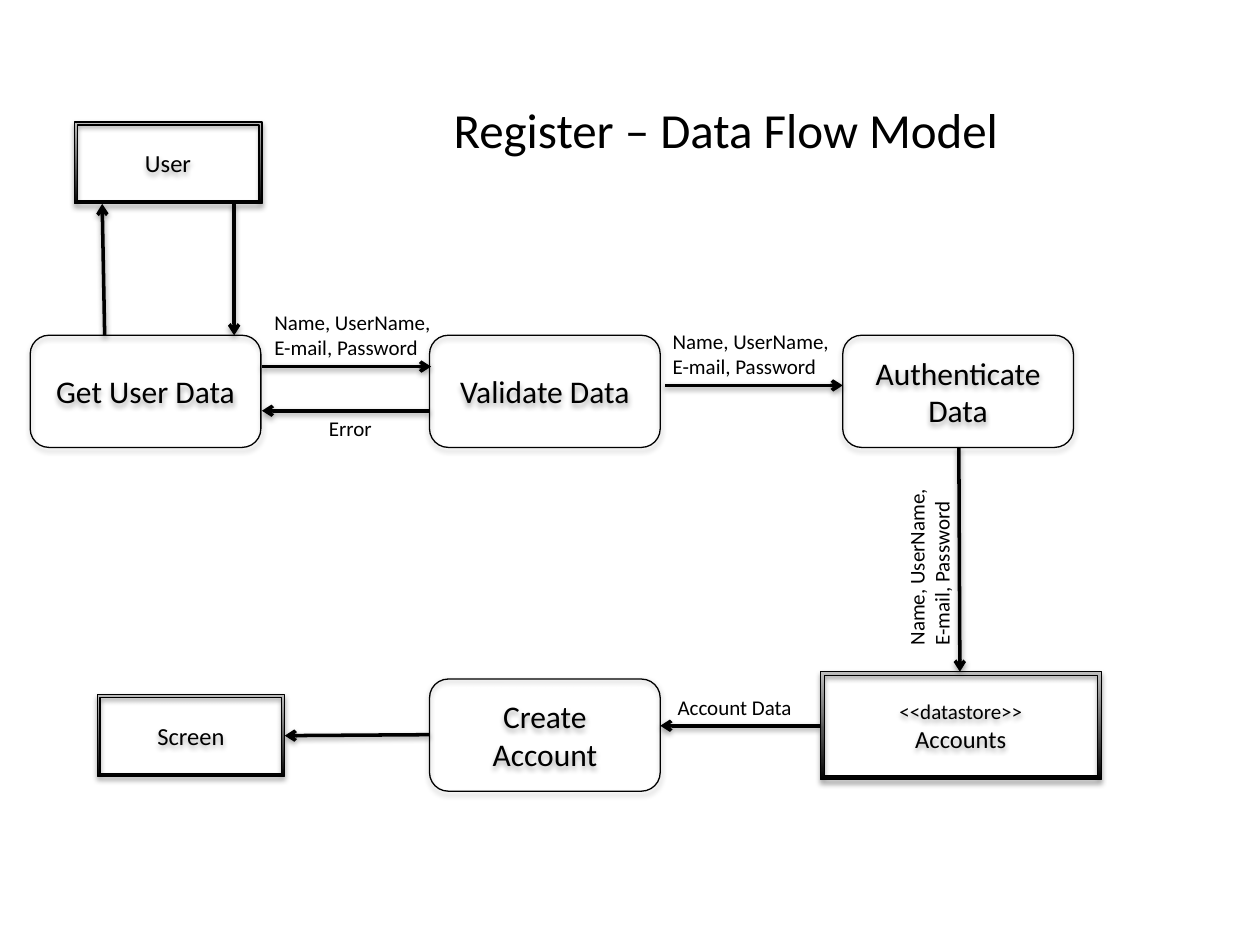
from lxml.etree import SubElement
from pptx import Presentation
from pptx.dml.color import RGBColor
from pptx.enum.shapes import MSO_CONNECTOR, MSO_SHAPE
from pptx.enum.text import MSO_ANCHOR, PP_ALIGN
from pptx.oxml.ns import qn
from pptx.util import Cm, Pt

COLORS = {"ink": "000000", "frame_top": "BDBDBD"}
INK = RGBColor.from_string(COLORS["ink"])


def write_text(frame, text, sizes=(12,), align=PP_ALIGN.LEFT,
               anchor=MSO_ANCHOR.TOP, wrap=True):
    """Fill a text frame, one paragraph per line; the last size repeats."""
    frame.text = text
    frame.word_wrap = wrap
    frame.vertical_anchor = anchor
    for index, paragraph in enumerate(frame.paragraphs):
        paragraph.alignment = align
        font = paragraph.runs[0].font
        font.name = "Calibri"
        font.size = Pt(sizes[min(index, len(sizes) - 1)])
        font.color.rgb = INK


def add_shadow(effects, distance, opacity):
    """Put a soft downward shadow into an effect list."""
    shadow = SubElement(effects, qn("a:outerShdw"), blurRad="40000",
                        dist=str(distance), dir="5400000", rotWithShape="0")
    color = SubElement(shadow, qn("a:srgbClr"), val=COLORS["ink"])
    SubElement(color, qn("a:alpha"), val=str(opacity * 1000))


deck = Presentation()
deck.slide_width, deck.slide_height = Cm(25.4), Cm(19.05)
slide = deck.slides.add_slide(deck.slide_layouts[5])

title = slide.shapes.title
title.left, title.top, title.width, title.height = Cm(8.89), Cm(1.88), Cm(11.71), Cm(1.45)
write_text(title.text_frame, "Register – Data Flow Model", sizes=(28,))

# Entities and processes: kind, text, text sizes, left, top, width, height
SMALL = (3.78, 1.65)
PROCESS = (4.65, 2.26)
TOP_ROW = 6.76
FRAME, ROUNDED = MSO_SHAPE.FRAME, MSO_SHAPE.ROUNDED_RECTANGLE
nodes = [
    (FRAME, "User", (14,), 1.5, 2.46, *SMALL),
    (FRAME, "<<datastore>>\nAccounts", (12, 14), 16.54, 13.54, 5.66, 2.18),
    (FRAME, "Screen", (14,), 1.96, 14, *SMALL),
    (ROUNDED, "Get User Data", (18,), 0.61, TOP_ROW, *PROCESS),
    (ROUNDED, "Validate Data", (18,), 8.66, TOP_ROW, *PROCESS),
    (ROUNDED, "Authenticate Data", (18,), 16.99, TOP_ROW, *PROCESS),
    (ROUNDED, "Create Account", (18,), 8.66, 13.69, *PROCESS),
]
for kind, text, sizes, *box in nodes:
    node = slide.shapes.add_shape(kind, *map(Cm, box))
    if kind == FRAME:
        node.adjustments[0] = 0.036
        node.fill.gradient()
        node.fill.gradient_angle = 90
        for stop, position, color in zip(node.fill.gradient_stops, (0, 1), COLORS.values()):
            stop.position = position
            stop.color.rgb = RGBColor.from_string(color)
    else:
        node.fill.background()
    node.line.color.rgb = INK
    node.line.width = Pt(0.75)
    node.shadow.inherit = False
    add_shadow(node._element.spPr.find(qn("a:effectLst")), 23000, 35)
    write_text(node.text_frame, text, sizes, PP_ALIGN.CENTER, MSO_ANCHOR.MIDDLE)

# Flows: start x, start y, end x, end y
flows = [
    (4.72, 4.11, 4.72, 6.76),
    (2.11, 6.76, 2.06, 4.11),
    (5.28, 7.39, 8.69, 7.39),
    (8.66, 8.28, 5.28, 8.28),
    (13.41, 7.77, 16.99, 7.77),
    (19.33, 9.02, 19.35, 13.54),
    (16.54, 14.63, 13.31, 14.63),
    (8.66, 14.81, 5.74, 14.83),
]
for ends in flows:
    flow = slide.shapes.add_connector(MSO_CONNECTOR.STRAIGHT, *map(Cm, ends))
    flow.line.color.rgb = INK
    flow.line.width = Pt(2)
    properties = flow._element.spPr
    SubElement(properties.find(qn("a:ln")), qn("a:tailEnd"), type="arrow")
    add_shadow(SubElement(properties, qn("a:effectLst")), 20000, 38)

# Flow labels: text, rotation, left, top, width, height
CREDENTIALS = "Name, UserName,\nE-mail, Password"
labels = [
    (CREDENTIALS, 0, 5.28, 6.12, 3.71, 1.27),
    (CREDENTIALS, 0, 13.31, 6.5, 3.71, 1.27),
    (CREDENTIALS, 270, 16.87, 10.77, 3.71, 1.27),
    ("Error", 0, 6.38, 8.26, 1.4, 0.76),
    ("Account Data", 0, 13.41, 13.87, 2.87, 0.76),
]
for text, rotation, *box in labels:
    label = slide.shapes.add_textbox(*map(Cm, box))
    label.rotation = rotation
    write_text(label.text_frame, text, wrap=False)

deck.save("out.pptx")
